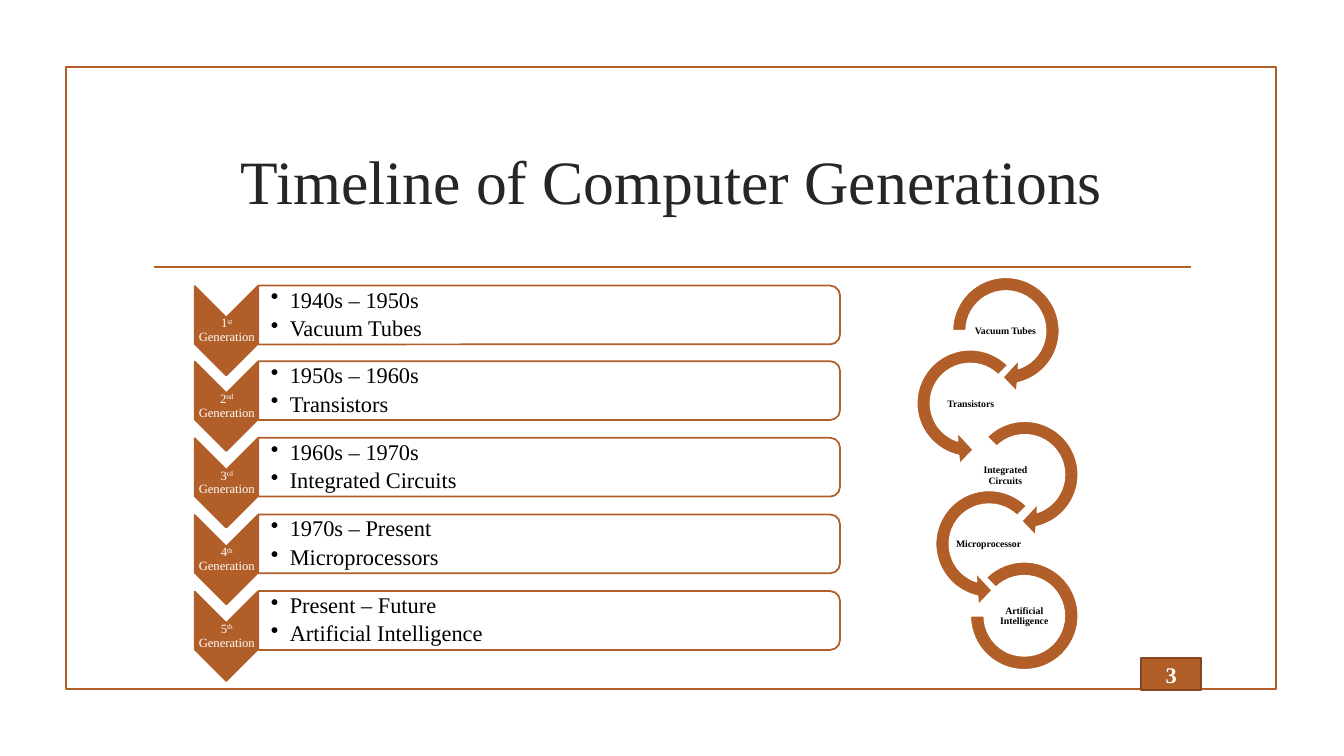
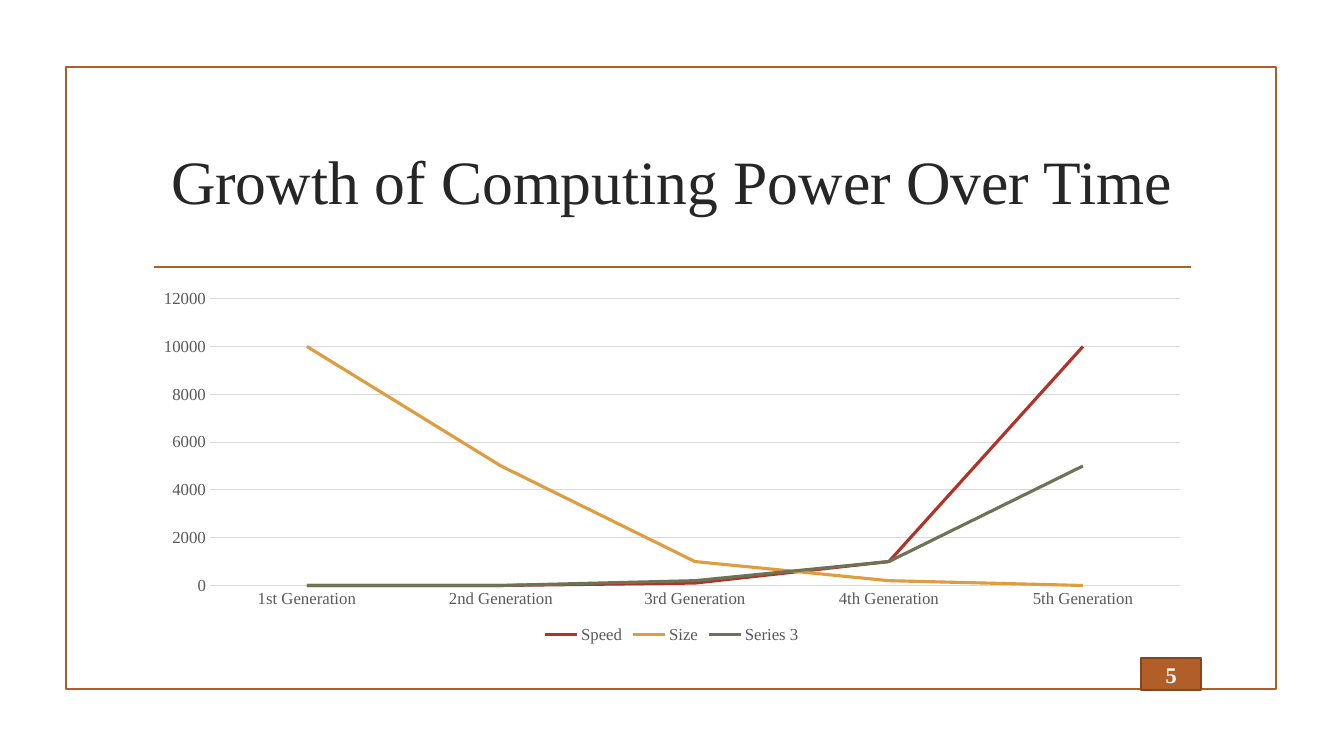
from dataclasses import dataclass

from lxml.etree import SubElement
from pptx import Presentation
from pptx.chart.data import CategoryChartData
from pptx.dml.color import RGBColor
from pptx.enum.chart import XL_CHART_TYPE, XL_LEGEND_POSITION, XL_MARKER_STYLE, XL_TICK_MARK
from pptx.enum.shapes import MSO_CONNECTOR, MSO_SHAPE
from pptx.enum.text import MSO_ANCHOR, PP_ALIGN
from pptx.oxml.ns import qn
from pptx.util import Emu, Pt

EMU_PER_PX = 9525
FONT = "Times New Roman"
RUST = "B15E28"
DARK_RUST = "83461E"
WHITE = "FFFFFF"
BLACK = "000000"
INK = "262626"
GRAY = "595959"
GRID = "D9D9D9"
PAGE_NUMBER_COLOR = "FEFEFE"
THIN = 1.25


@dataclass(frozen=True)
class Box:
    left: int
    top: int
    width: int
    height: int

    def emu(self):
        return [px(value) for value in (self.left, self.top, self.width, self.height)]

    def down(self, distance: int) -> "Box":
        return Box(self.left, self.top + distance, self.width, self.height)


@dataclass(frozen=True)
class Generation:
    label: str
    period: str
    technology: str


@dataclass(frozen=True)
class Arc:
    shape: MSO_SHAPE
    box: Box
    adjustments: tuple
    label: str
    label_left: int
    label_top: int


@dataclass(frozen=True)
class Series:
    name: str
    values: tuple
    color: str


CLOCKWISE = MSO_SHAPE.CIRCULAR_ARROW
COUNTERCLOCKWISE = MSO_SHAPE.LEFT_CIRCULAR_ARROW
LEFT_TURN = (0.11, 11.42, 63, 189, 0.13)

GENERATIONS = (
    Generation("1^st^ Generation", "1940s – 1950s", "Vacuum Tubes"),
    Generation("2^nd^ Generation", "1950s – 1960s", "Transistors"),
    Generation("3^rd^ Generation", "1960s – 1970s", "Integrated Circuits"),
    Generation("4^th^ Generation", "1970s – Present", "Microprocessors"),
    Generation("5^th^ Generation", "Present – Future", "Artificial Intelligence"),
)
ARCS = (
    Arc(CLOCKWISE, Box(898, 255, 120, 120), (0.11, 11.42, 45, 108, 0.13),
        "Vacuum Tubes", 924, 299),
    Arc(COUNTERCLOCKWISE, Box(864, 324, 120, 120), LEFT_TURN, "Transistors", 891, 368),
    Arc(CLOCKWISE, Box(916, 392, 120, 120), (0.11, 11.42, 45, 135, 0.13),
        "Integrated Circuits", 924, 436),
    Arc(COUNTERCLOCKWISE, Box(882, 458, 120, 120), LEFT_TURN, "Microprocessor", 908, 501),
    Arc(MSO_SHAPE.BLOCK_ARC, Box(924, 535, 103, 103), (135, 108, 0.13),
        "Artificial Intelligence", 942, 570),
)
CATEGORIES = ("1st Generation", "2nd Generation", "3rd Generation",
              "4th Generation", "5th Generation")
SERIES = (
    Series("Speed", (0, 0, 100, 1000, 10000), "B13228"),
    Series("Size", (10000, 5000, 1000, 200, 0), "E09C41"),
    Series("Series 3", (0, 0, 200, 1000, 5000), "6E7355"),
)


def px(value: int) -> Emu:
    return Emu(value * EMU_PER_PX)


def color_of(value: str) -> RGBColor:
    return RGBColor.from_string(value)


def write_text(shape, text: str, *, size: float, color: str, bold: bool = False,
               align=PP_ALIGN.CENTER, insets=(10, 5, 10, 5), line_spacing=None,
               space_after=None, bullet_indent: int = 0, outline=None, tracking: int = 0):
    frame = shape.text_frame
    frame.word_wrap = True
    frame.vertical_anchor = MSO_ANCHOR.MIDDLE
    (frame.margin_left, frame.margin_top,
     frame.margin_right, frame.margin_bottom) = map(px, insets)
    for index, line in enumerate(text.split("\n")):
        para = frame.add_paragraph() if index else frame.paragraphs[0]
        if bullet_indent:
            properties = para._p.get_or_add_pPr()
            properties.set("marL", str(px(bullet_indent)))
            properties.set("indent", str(-px(bullet_indent)))
            SubElement(properties, qn("a:buChar")).set("char", "•")
        para.alignment = align
        if line_spacing:
            para.line_spacing = line_spacing
        if space_after:
            para.space_after = Pt(space_after)
        for position, part in enumerate(line.split("^")):
            span = para.add_run()
            span.text = part
            span.font.name = FONT
            span.font.size = Pt(size)
            span.font.bold = bold
            span.font.color.rgb = color_of(color)
            properties = span._r.get_or_add_rPr()
            if position % 2:
                properties.set("baseline", "30000")
            if tracking:
                properties.set("spc", str(tracking))
            if outline:
                line_xml = SubElement(properties, qn("a:ln"))
                line_xml.set("w", str(Pt(0.75)))
                fill_xml = SubElement(line_xml, qn("a:solidFill"))
                SubElement(fill_xml, qn("a:srgbClr")).set("val", outline)
                properties.insert(0, line_xml)


def add_label(page, box: Box, text: str, **text_format):
    write_text(page.shapes.add_textbox(*box.emu()), text, **text_format)


def draw_shape(page, kind, box: Box, *, fill=None, line: str = RUST, rotation: int = 0,
               adjustments: tuple = (), alpha: int = 100):
    shape = page.shapes.add_shape(kind, *box.emu())
    shape.shadow.inherit = False
    shape.rotation = rotation
    for index, value in enumerate(adjustments):
        shape.adjustments[index] = value
    if fill:
        shape.fill.solid()
        shape.fill.fore_color.rgb = color_of(fill)
        if alpha < 100:
            color_xml = shape._element.spPr.find(".//" + qn("a:srgbClr"))
            SubElement(color_xml, qn("a:alpha")).set("val", str(alpha * 1000))
    else:
        shape.fill.background()
    shape.line.color.rgb = color_of(line)
    shape.line.width = Pt(THIN)
    return shape


def add_page(deck, title: str):
    page = deck.slides.add_slide(deck.slide_layouts[6])
    draw_shape(page, MSO_SHAPE.RECTANGLE, Box(63, 64, 1152, 592))
    rule = page.shapes.add_connector(
        MSO_CONNECTOR.STRAIGHT, px(147), px(254), px(1134), px(254))
    rule.line.color.rgb = color_of(RUST)
    rule.line.width = Pt(THIN)
    SubElement(rule._element.spPr, qn("a:effectLst"))
    add_label(page, Box(136, 103, 1008, 137), title, size=44, color=INK)
    return page


def add_page_number(page, number: int):
    badge = draw_shape(page, MSO_SHAPE.RECTANGLE, Box(1087, 627, 57, 30),
                       fill=RUST, line=DARK_RUST)
    write_text(badge, str(number), size=16, color=PAGE_NUMBER_COLOR, bold=True,
               outline=RUST, tracking=50)


def draw_generation(page, generation: Generation, offset: int):
    draw_shape(page, MSO_SHAPE.CHEVRON, Box(173, 285, 85, 60).down(offset),
               fill=RUST, rotation=90)
    add_label(page, Box(186, 302, 60, 26).down(offset), generation.label,
              size=9, color=WHITE, insets=(1, 1, 1, 1), line_spacing=0.9)
    draw_shape(page, MSO_SHAPE.ROUND_2_SAME_RECTANGLE, Box(495, 23, 56, 554).down(offset),
               fill=WHITE, rotation=90, alpha=90)
    add_label(page, Box(246, 275, 551, 50).down(offset),
              f"{generation.period}\n{generation.technology}",
              size=16, color=BLACK, align=PP_ALIGN.LEFT, insets=(12, 1, 1, 1),
              line_spacing=0.9, space_after=3, bullet_indent=18)


def draw_arc(page, arc: Arc):
    draw_shape(page, arc.shape, arc.box, fill=RUST, line=WHITE, adjustments=arc.adjustments)
    add_label(page, Box(arc.label_left, arc.label_top, 67, 34), arc.label,
              size=7, color=BLACK, bold=True, insets=(0, 0, 0, 0), line_spacing=0.9)


def style_font(font):
    font.name = FONT
    font.size = Pt(12)
    font.color.rgb = color_of(GRAY)


def style_line(line, color: str, width: float):
    line.color.rgb = color_of(color)
    line.width = Pt(width)


def add_growth_chart(page):
    data = CategoryChartData()
    data.categories = CATEGORIES
    for series in SERIES:
        data.add_series(series.name, series.values)
    chart = page.shapes.add_chart(
        XL_CHART_TYPE.LINE, *Box(136, 269, 1008, 348).emu(), data).chart
    chart.has_title = False
    style_font(chart.font)
    chart.plots[0].vary_by_categories = False
    chart.has_legend = True
    chart.legend.position = XL_LEGEND_POSITION.BOTTOM
    chart.legend.include_in_layout = False
    style_font(chart.legend.font)
    for axis in (chart.category_axis, chart.value_axis):
        axis.major_tick_mark = XL_TICK_MARK.NONE
        axis.minor_tick_mark = XL_TICK_MARK.NONE
        style_font(axis.tick_labels.font)
    style_line(chart.category_axis.format.line, GRID, 0.75)
    chart.value_axis.format.line.fill.background()
    chart.value_axis.minimum_scale = 0
    chart.value_axis.maximum_scale = 12000
    chart.value_axis.major_unit = 2000
    style_line(chart.value_axis.major_gridlines.format.line, GRID, 0.75)
    for plotted, series in zip(chart.plots[0].series, SERIES):
        plotted.smooth = False
        plotted.marker.style = XL_MARKER_STYLE.NONE
        style_line(plotted.format.line, series.color, 2.25)


def main():
    deck = Presentation()
    deck.slide_width, deck.slide_height = px(1280), px(720)

    timeline = add_page(deck, "Timeline of Computer Generations")
    for index, generation in enumerate(GENERATIONS):
        draw_generation(timeline, generation, index * 291 // 4)
    for arc in ARCS:
        draw_arc(timeline, arc)
    add_page_number(timeline, 3)

    growth = add_page(deck, "Growth of Computing Power Over Time")
    add_growth_chart(growth)
    add_page_number(growth, 5)

    deck.save("out.pptx")


if __name__ == "__main__":
    main()
